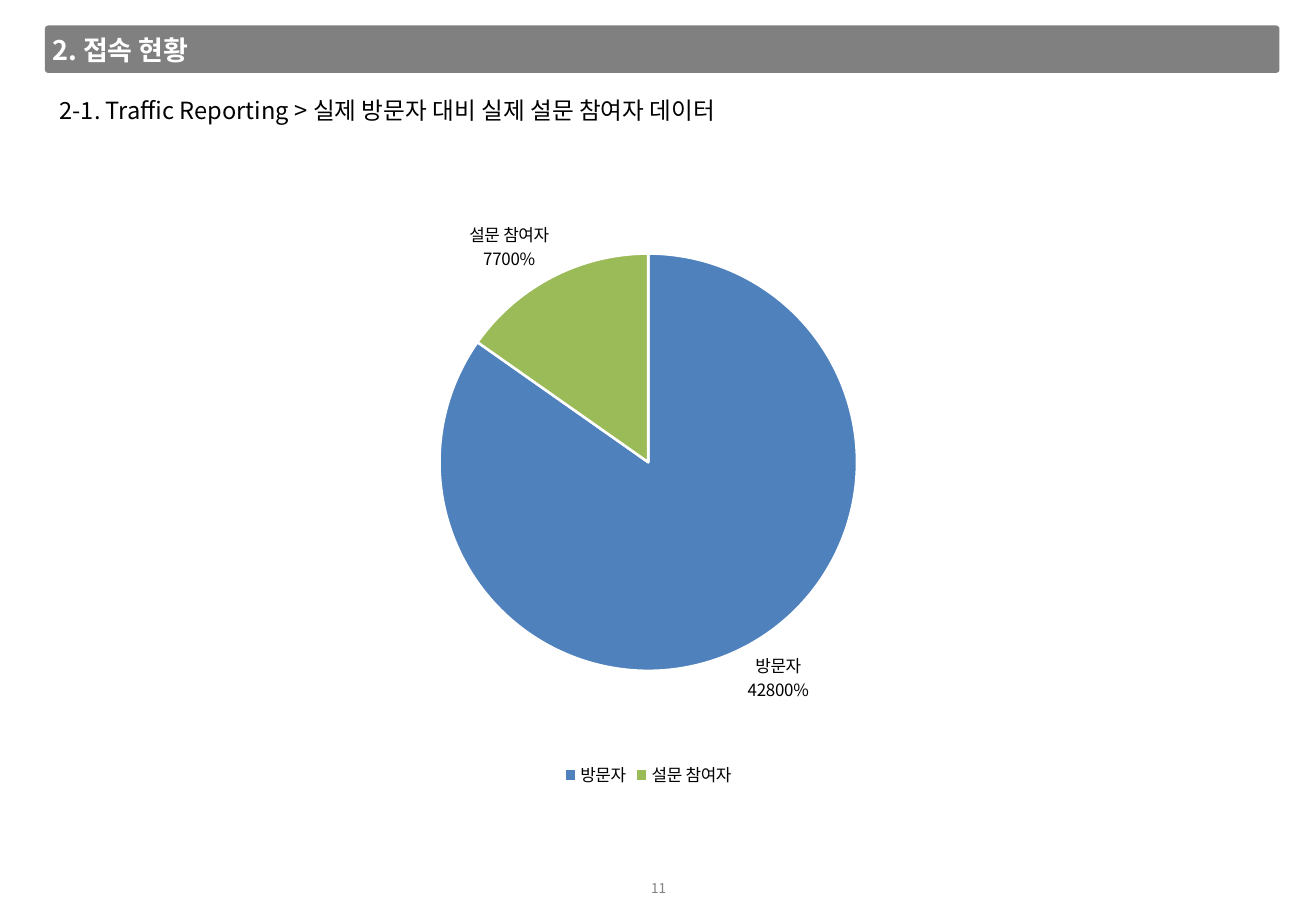
from dataclasses import dataclass

from lxml import etree
from pptx import Presentation
from pptx.chart.data import CategoryChartData
from pptx.dml.color import RGBColor
from pptx.enum.chart import XL_CHART_TYPE as ChartType
from pptx.enum.chart import XL_LABEL_POSITION as LabelPosition
from pptx.enum.chart import XL_LEGEND_POSITION as LegendPosition
from pptx.enum.shapes import MSO_SHAPE as Preset
from pptx.enum.text import MSO_ANCHOR as Anchor
from pptx.enum.text import PP_ALIGN as Align
from pptx.oxml.ns import qn
from pptx.util import Inches, Pt

FONT = "Noto Sans CJK KR"
WHITE = RGBColor(0xFF, 0xFF, 0xFF)
BLACK = RGBColor(0, 0, 0)
GRAY = RGBColor(0x80, 0x80, 0x80)
BLUE = RGBColor(0x4F, 0x81, 0xBD)
GREEN = RGBColor(0x9B, 0xBB, 0x59)


@dataclass
class Caption:
    text: str
    left: float
    top: float
    width: float
    height: float
    size: int
    color: RGBColor
    inset: float = 0.05
    bold: bool = False
    align: Align = Align.LEFT
    anchor: Anchor = Anchor.TOP


CAPTIONS = [
    Caption("11", 5.31, 7.2, 0.22, 0.22, 8, GRAY, inset=0.04,
            align=Align.CENTER, anchor=Anchor.MIDDLE),
    Caption("2. 접속 현황", 0.38, 0.23, 1.35, 0.37, 16, WHITE, bold=True),
    Caption("2-1. Traffic Reporting > 실제 방문자 대비 실제 설문 참여자 데이터",
            0.44, 0.74, 6.02, 0.34, 14, BLACK),
]


def style_font(font, size: int, color: RGBColor, bold: bool = False) -> None:
    font.name = FONT
    font.size = Pt(size)
    font.bold = bold
    font.color.rgb = color


def add_caption(shapes, caption: Caption) -> None:
    box = shapes.add_textbox(Inches(caption.left), Inches(caption.top),
                             Inches(caption.width), Inches(caption.height))
    frame = box.text_frame
    frame.word_wrap = False
    frame.vertical_anchor = caption.anchor
    frame.margin_left = frame.margin_right = Inches(caption.inset)
    frame.margin_top = frame.margin_bottom = Inches(caption.inset)
    frame.text = caption.text
    paragraph = frame.paragraphs[0]
    paragraph.alignment = caption.align
    for run in paragraph.runs:
        style_font(run.font, caption.size, caption.color, caption.bold)
        east_asian = etree.SubElement(run.font._element, qn("a:ea"))
        east_asian.set("typeface", FONT)


def break_lines(labels) -> None:
    """Put the category and the number of a label on separate lines."""
    separator = etree.Element(qn("c:separator"))
    separator.text = "\n"
    labels.find(qn("c:showBubbleSize")).addnext(separator)


def place_plot(chart, x: float, y: float, w: float, h: float) -> None:
    plot_area = chart._chartSpace.chart.plotArea
    layout = plot_area.find(qn("c:layout"))
    if layout is None:
        layout = etree.Element(qn("c:layout"))
        plot_area.insert(0, layout)
    manual = etree.SubElement(layout, qn("c:manualLayout"))
    settings = {"layoutTarget": "inner", "xMode": "edge", "yMode": "edge",
                "x": x, "y": y, "w": w, "h": h}
    for tag, value in settings.items():
        etree.SubElement(manual, qn(f"c:{tag}")).set("val", str(value))


prs = Presentation()
prs.slide_width, prs.slide_height = Inches(10.83), Inches(7.5)
slide = prs.slides.add_slide(prs.slide_layouts[6])

# Header bar
header = slide.shapes.add_shape(Preset.ROUNDED_RECTANGLE, Inches(0.37), Inches(0.21),
                                Inches(10.16), Inches(0.39))
header.adjustments[0] = 0.07
header.shadow.inherit = False
header.fill.solid()
header.fill.fore_color.rgb = GRAY
header.line.fill.background()

# Heading, subheading and page number
for caption in CAPTIONS:
    add_caption(slide.shapes, caption)

# Visitors against survey participants
visit_data = CategoryChartData()
visit_data.categories = ["방문자", "설문 참여자"]
visit_data.add_series("Series 1", [428, 77])
visits = slide.shapes.add_chart(ChartType.PIE, Inches(3.02), Inches(1.54), Inches(4.63),
                                Inches(4.98), visit_data).chart
visits.has_title = False
style_font(visits.font, 10, BLACK)
visits.has_legend = True
visits.legend.position = LegendPosition.BOTTOM
visits.legend.include_in_layout = True
style_font(visits.legend.font, 10, BLACK)
place_plot(visits, 0.12, 0.11, 0.76, 0.69)

# Slices
pie = visits.plots[0]
pie.vary_by_categories = True
series = pie.series[0]
for index, color in enumerate([BLUE, GREEN]):
    slice_format = series.points[index].format
    slice_format.fill.solid()
    slice_format.fill.fore_color.rgb = color
    slice_format.line.color.rgb = WHITE
    slice_format.line.width = Pt(1.5)

# Slice labels
labels = series.data_labels
labels.show_percentage = True
labels.show_category_name = True
labels.show_value = False
labels.number_format = "0%"
labels.number_format_is_linked = False
labels.position = LabelPosition.OUTSIDE_END
style_font(labels.font, 10, BLACK)
break_lines(labels._element)

visitor_label = series.points[0].data_label
visitor_label.text_frame.text = "방문자\n42800%"
visitor_label.position = LabelPosition.OUTSIDE_END
for paragraph in visitor_label.text_frame.paragraphs:
    for run in paragraph.runs:
        style_font(run.font, 10, BLACK)

participant_label = series.points[1].data_label
style_font(participant_label.font, 10, BLACK)
participant_label.position = LabelPosition.OUTSIDE_END
participant = labels._element.findall(qn("c:dLbl"))[1]
for tag, shown in {"showVal": "1", "showCatName": "1", "showPercent": "0"}.items():
    participant.find(qn(f"c:{tag}")).set("val", shown)
break_lines(participant)

prs.save("out.pptx")
